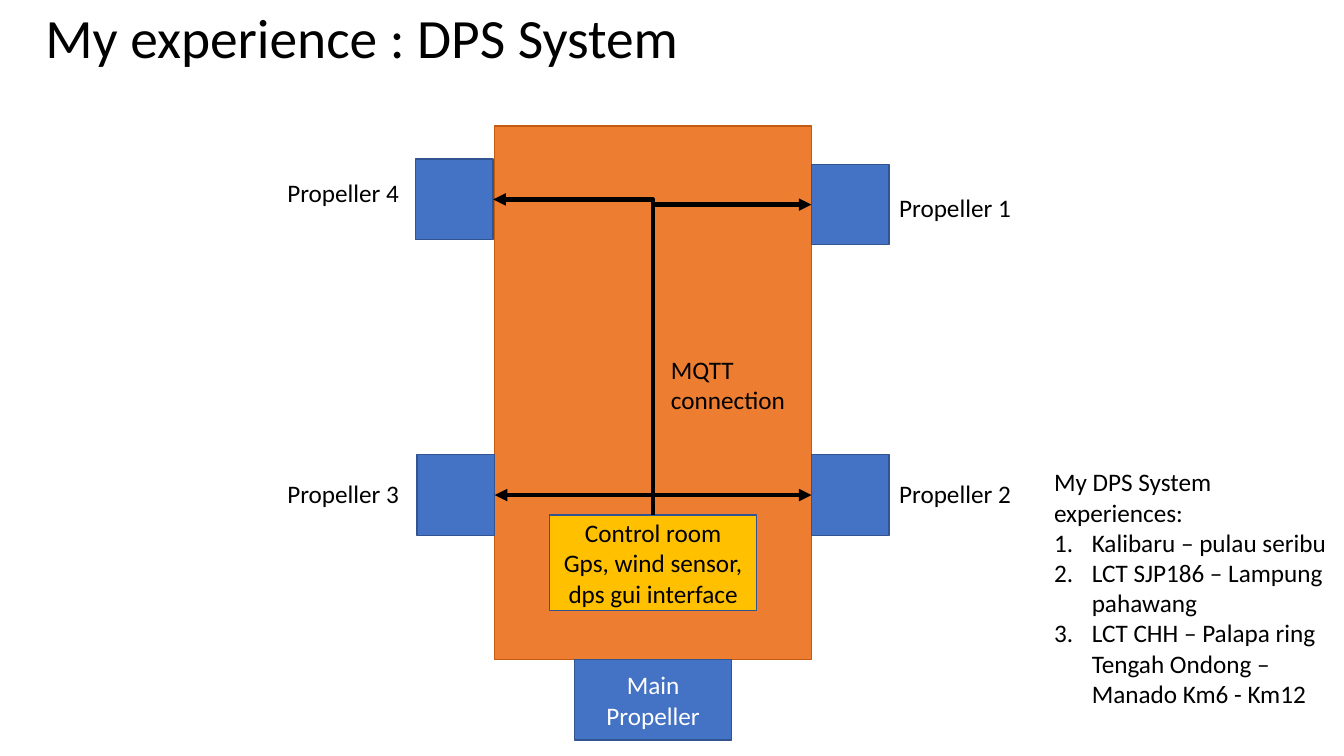
from dataclasses import dataclass

from lxml import etree
from pptx import Presentation
from pptx.dml.color import RGBColor
from pptx.enum.shapes import MSO_CONNECTOR, MSO_SHAPE
from pptx.enum.text import MSO_ANCHOR, PP_ALIGN
from pptx.oxml.ns import qn
from pptx.util import Cm, Pt

RECT = MSO_SHAPE.RECTANGLE
ELBOW = MSO_CONNECTOR.ELBOW
LEFT, CENTER = PP_ALIGN.LEFT, PP_ALIGN.CENTER
TOP, MIDDLE = MSO_ANCHOR.TOP, MSO_ANCHOR.MIDDLE
SITE_TOP, SITE_LEFT, SITE_RIGHT = 0, 1, 3


@dataclass(frozen=True)
class Theme:
    """Colours, font and type sizes of the slide."""
    font: str = "Calibri"
    title: float = 39.6
    body: float = 18
    ink: str = "000000"
    white: str = "FFFFFF"
    ship: str = "ED7D31"
    ship_line: str = "C55A11"
    propeller: str = "4472C4"
    control: str = "FFC000"
    box_line: str = "325491"


THEME = Theme()


def place(shape, x, y, w, h):
    """Move and size a shape, in centimetres."""
    values = {"left": x, "top": y, "width": w, "height": h}
    for name, value in values.items():
        setattr(shape, name, Cm(value))


def write(shape, lines, size=THEME.body, color=THEME.ink, align=LEFT,
          anchor=TOP, spacing=1.0):
    """Fill a shape with one formatted paragraph per line."""
    tf = shape.text_frame
    tf.word_wrap = True
    tf.vertical_anchor = anchor
    para_format = {"alignment": align, "line_spacing": spacing,
                   "space_before": Pt(0), "space_after": Pt(0)}
    font_format = {"name": THEME.font, "size": Pt(size), "bold": False}
    for i, line in enumerate(lines):
        p = tf.add_paragraph() if i else tf.paragraphs[0]
        for name, value in para_format.items():
            setattr(p, name, value)
        r = p.add_run()
        r.text = line
        for name, value in font_format.items():
            setattr(r.font, name, value)
        r.font.color.rgb = RGBColor.from_string(color)
    return tf


def add_box(s, x, y, w, h, fill, line=THEME.box_line, lines=(), color=THEME.ink):
    """Add a filled rectangle with centred text."""
    sp = s.shapes.add_shape(RECT, Cm(x), Cm(y), Cm(w), Cm(h))
    sp.shadow.inherit = False
    sp.fill.solid()
    sp.fill.fore_color.rgb = RGBColor.from_string(fill)
    sp.line.color.rgb = RGBColor.from_string(line)
    sp.line.width = Pt(1)
    write(sp, lines, color=color, align=CENTER, anchor=MIDDLE)
    return sp


def add_label(s, x, y, w, h, text):
    """Add a plain text label."""
    write(s.shapes.add_textbox(Cm(x), Cm(y), Cm(w), Cm(h)), [text])


def add_link(s, propeller, site, control):
    """Join the control room to a propeller, with the arrow at the propeller."""
    cxn = s.shapes.add_connector(ELBOW, 0, 0, 0, 0)
    cxn.begin_connect(propeller, site)
    cxn.end_connect(control, SITE_TOP)
    cxn.line.color.rgb = RGBColor.from_string(THEME.ink)
    cxn.line.width = Pt(3)
    sp_pr = cxn._element.spPr
    sp_pr.find(qn("a:prstGeom")).set("prst", "bentConnector2")
    etree.SubElement(cxn.line._get_or_add_ln(), qn("a:headEnd"), type="triangle")
    etree.SubElement(sp_pr, qn("a:effectLst"))


def add_title(s, x, y, w, h):
    """Place the slide title."""
    place(s.shapes.title, x, y, w, h)
    write(s.shapes.title, ["My experience : DPS System"], size=THEME.title,
          anchor=MIDDLE, spacing=0.9)


def add_ship(s, x, y, w, h):
    """Draw the ship, its propellers, control room and connections."""
    side_w, side_h = 1.96, 2.03
    main_w = 3.96
    control_w, control_h = 5.21, 2.41
    right_label, left_label = (w + side_w, 7.54), (-5.48, 3.5)
    propellers = [
        ("Propeller 1", w, 0.96, SITE_LEFT, right_label, 1.54),
        ("Propeller 2", w, 8.28, SITE_LEFT, right_label, 8.76),
        ("Propeller 3", -side_w, 8.28, SITE_RIGHT, left_label, 8.76),
        ("Propeller 4", -side_w - 0.04, 0.83, SITE_RIGHT, left_label, 1.16),
    ]
    add_box(s, x, y, w, h, THEME.ship, THEME.ship_line)
    add_box(s, x + (w - main_w) / 2, y + h, main_w, side_h, THEME.propeller,
            lines=["Main Propeller"], color=THEME.white)
    control = add_box(s, x + (w - control_w) / 2, y + 9.8, control_w, control_h,
                      THEME.control,
                      lines=["Control room", "Gps, wind sensor, dps gui interface"])
    for name, dx, dy, site, (label_dx, label_w), label_dy in propellers:
        box = add_box(s, x + dx, y + dy, side_w, side_h, THEME.propeller)
        add_label(s, x + label_dx, y + label_dy, label_w, 1.03, name)
        add_link(s, box, site, control)
    add_label(s, x + 4.19, y + 5.63, 3.4, 1.8, "MQTT connection")


def add_experiences(s, x, y, w, h):
    """Place the numbered list of experiences under its heading."""
    body = s.placeholders[1]
    place(body, x, y, w, h)
    tf = write(body, ["My DPS System experiences:", "Kalibaru – pulau seribu",
                      "LCT SJP186 – Lampung pahawang",
                      "LCT CHH – Palapa ring Tengah Ondong – Manado Km6 - Km12"])
    for i, p in enumerate(tf.paragraphs):
        indent = Cm(0.95) if i else 0
        p_pr = p._p.get_or_add_pPr()
        p_pr.set("marL", str(indent))
        p_pr.set("indent", str(-indent))
        if i:
            etree.SubElement(p_pr, qn("a:buFont"), typeface="+mj-lt")
            etree.SubElement(p_pr, qn("a:buAutoNum"), type="arabicPeriod")
        else:
            etree.SubElement(p_pr, qn("a:buNone"))


def main():
    """Build and save the slide."""
    prs = Presentation()
    prs.slide_width, prs.slide_height = Cm(33.87), Cm(19.05)
    s = prs.slides.add_slide(prs.slide_layouts[1])
    add_title(s, 0.89, 0.2, 29.21, 1.65)
    add_ship(s, 12.47, 3.18, 7.98, 13.44)
    add_experiences(s, 26.31, 11.63, 7.54, 6.4)
    prs.save("out.pptx")


if __name__ == "__main__":
    main()
